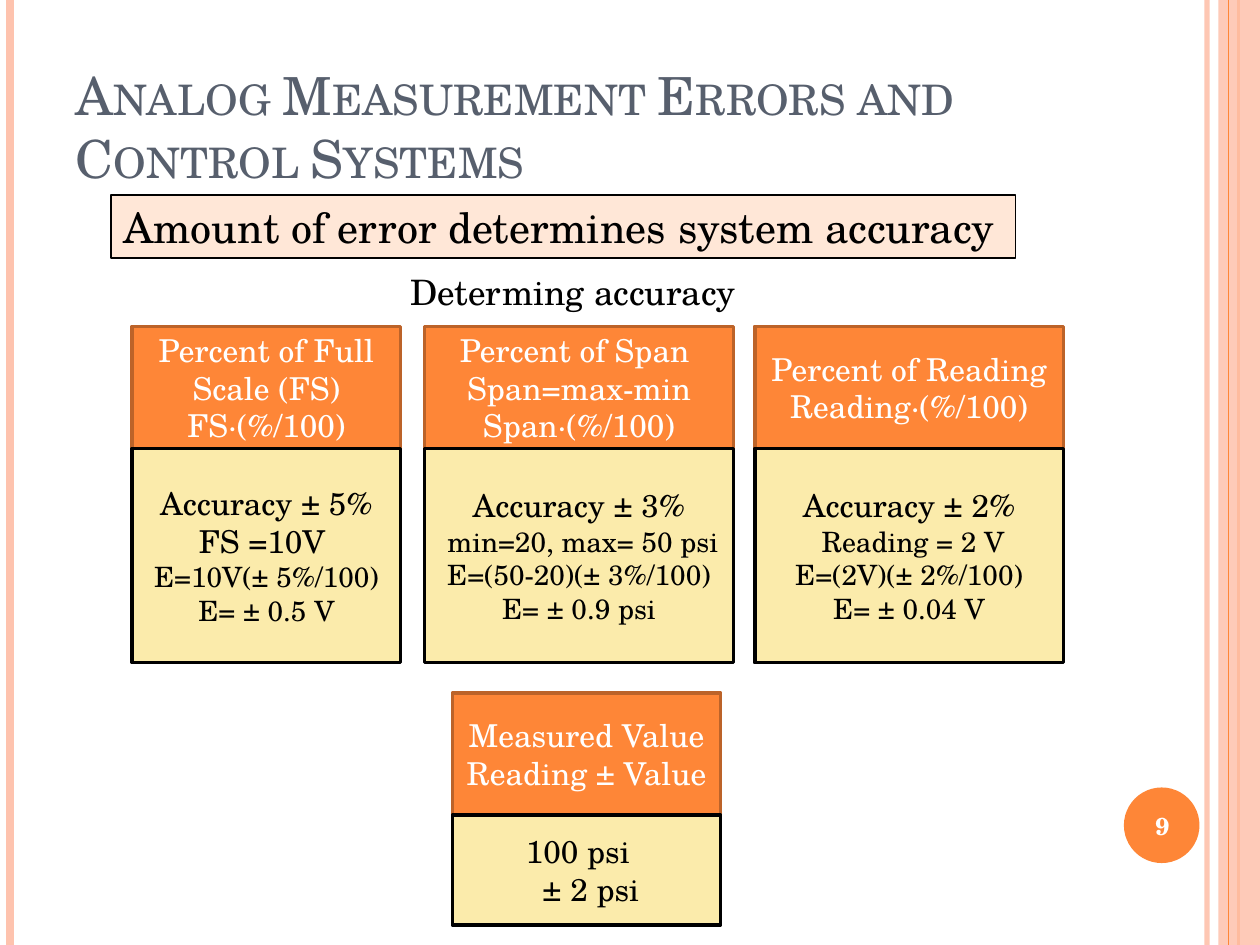
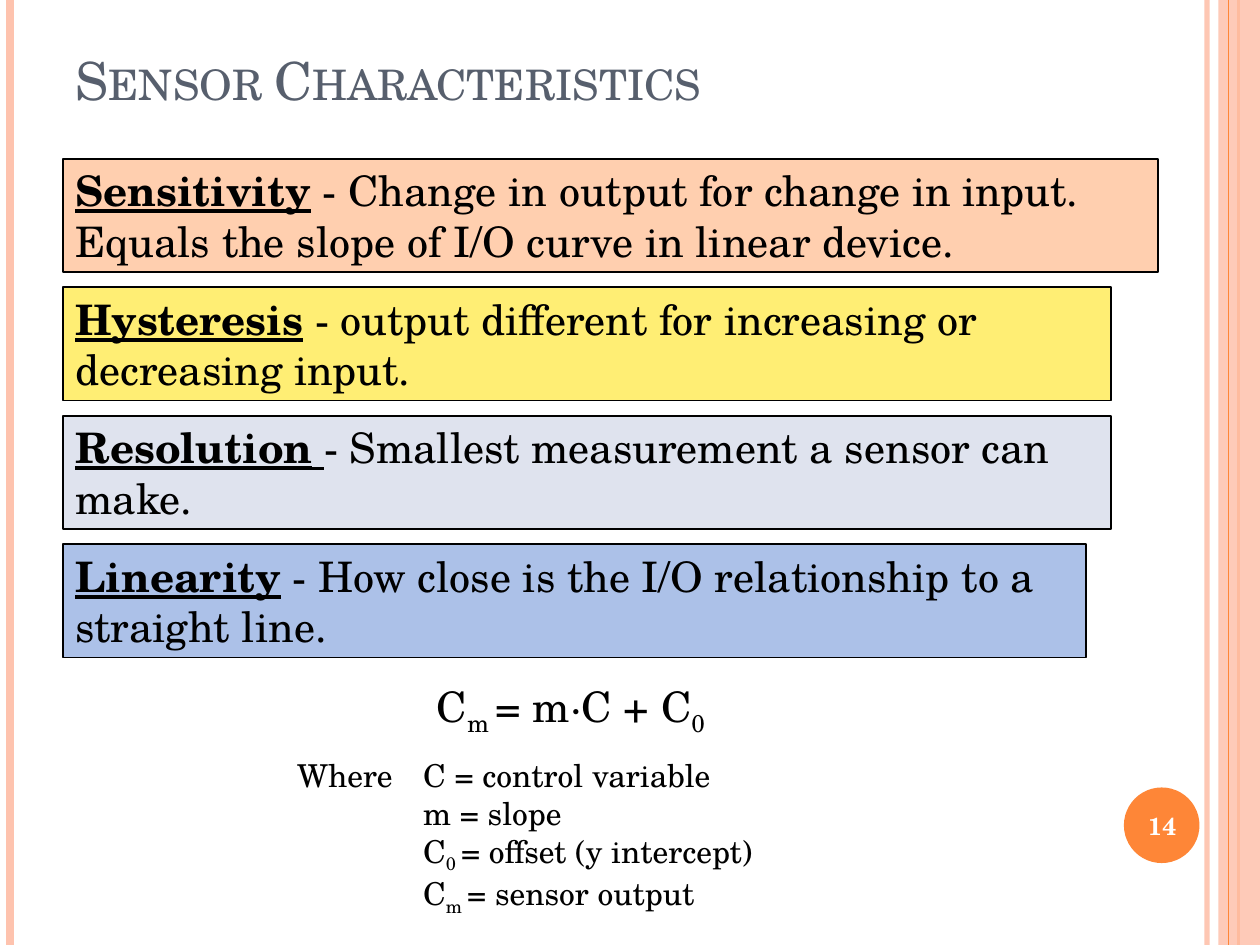
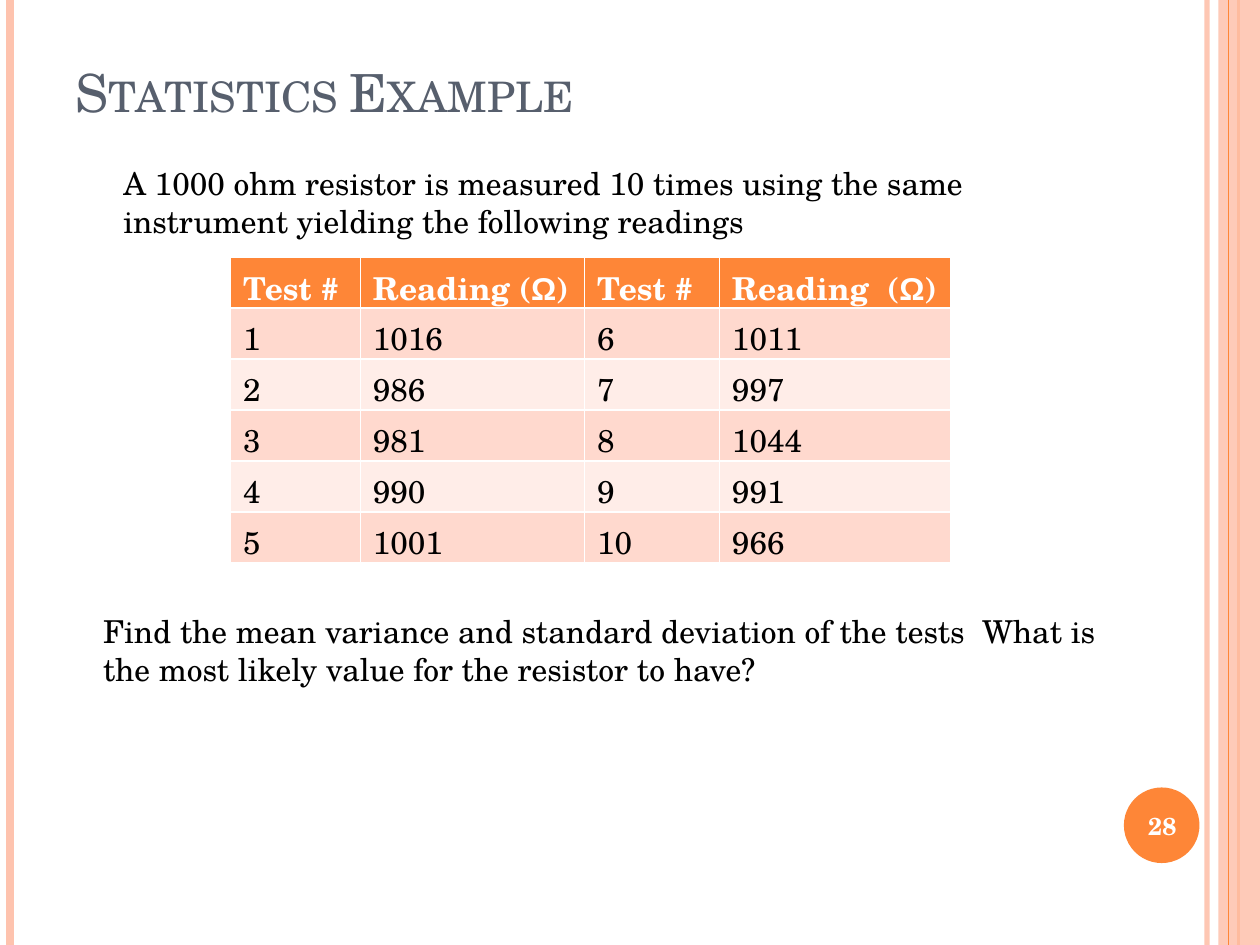
from lxml import etree
from pptx import Presentation
from pptx import util as u
from pptx.dml.color import RGBColor
from pptx.enum import shapes, text
from pptx.oxml.ns import qn

FONT = "TeX Gyre Schola"
COLORS = {
    "title": "575F6D", "black": "000000", "white": "FFFFFF",
    "orange": "FE8637", "rust": "BC6329", "pink": "FEC3AE",
    "cream": "FBEBAB", "blush": "FFE7D7", "peach": "FFCFAF",
    "yellow": "FFEE74", "mist": "DFE3EE", "blue": "ACC1E8",
    "row_dark": "FFD9CE", "row_light": "FFEDE8",
}
RGB = {name: RGBColor.from_string(value) for name, value in COLORS.items()}


def write_text(tf, paragraphs, size=18, color="black", bold=None, centred=False,
               rest_size=None, tab=None):
    """Fill a frame; a paragraph is a string or a list of (text, style) runs.

    rest_size is the size of every paragraph after the first.
    """
    for i, runs in enumerate(paragraphs):
        p = tf.paragraphs[0] if i == 0 else tf.add_paragraph()
        p.alignment = text.PP_ALIGN.CENTER if centred else text.PP_ALIGN.LEFT
        if tab:
            tabs = etree.SubElement(p._p.get_or_add_pPr(), qn("a:tabLst"))
            etree.SubElement(tabs, qn("a:tab"), pos=str(u.Inches(tab)), algn="l")
        p.font.name, p.font.bold = FONT, bold
        p.font.size = u.Pt(rest_size if rest_size and i else size)
        p.font.color.rgb = RGB[color]
        for content, style in [(runs, "")] if isinstance(runs, str) else runs:
            r = p.add_run()
            r.text = content
            if style == "term":
                r.font.bold = r.font.underline = True
            elif style == "underline":
                r.font.underline = True
            elif style == "sub":
                r._r.get_or_add_rPr().set("baseline", "-25000")
            elif style == "symbol":
                r.font.name = "Arial"


def add_box(s, box, paragraphs, fill=None, line="black", line_width=1,
            wrap=True, middle=False, **text_format):
    """Add a filled rectangle, or a plain text box when there is no fill."""
    place = [u.Inches(v) for v in box]
    if fill:
        sp = s.shapes.add_shape(shapes.MSO_SHAPE.RECTANGLE, *place)
        sp.shadow.inherit = False
        sp.fill.solid()
        sp.fill.fore_color.rgb = RGB[fill]
        sp.line.color.rgb = RGB[line]
        sp.line.width = u.Pt(line_width)
    else:
        sp = s.shapes.add_textbox(*place)
    tf = sp.text_frame
    tf.word_wrap = wrap
    tf.vertical_anchor = text.MSO_ANCHOR.MIDDLE if middle else text.MSO_ANCHOR.TOP
    tf.auto_size = (text.MSO_AUTO_SIZE.NONE if middle
                    else text.MSO_AUTO_SIZE.SHAPE_TO_FIT_TEXT)
    write_text(tf, paragraphs, **text_format)


prs = Presentation()
prs.slide_width, prs.slide_height = u.Inches(10), u.Inches(7.5)
layout = prs.slide_layouts[5]

# Slides with their titles and numbers
slides = []
for title, title_height, number in [
    ("Analog Measurement Errors and Control Systems", 1.25, "9"),
    ("Sensor Characteristics", 0.63, "14"),
    ("Statistics Example", 0.73, "28"),
]:
    s = prs.slides.add_slide(layout)
    slides.append(s)
    heading = s.shapes.title
    heading.left, heading.top = u.Inches(0.5), u.Inches(0.3)
    heading.width, heading.height = u.Inches(8.17), u.Inches(title_height)
    tf = heading.text_frame
    tf.vertical_anchor = text.MSO_ANCHOR.BOTTOM
    tf.auto_size = text.MSO_AUTO_SIZE.NONE
    write_text(tf, [title], size=30, color="title")
    tf.paragraphs[0].runs[0]._r.get_or_add_rPr().set("cap", "small")
    add_box(s, (8.89, 6.27, 0.67, 0.57), [number], middle=True, size=14,
            color="white", bold=True, centred=True)
errors, sensors, statistics = slides

# Side bands and number disc, moved to the layout all slides share
decorations = []
for x, color, width, alpha in [
    (9.58, "pink", 3, 93), (0.08, "pink", 4.5, None),
    (9.83, "orange", 1.5, None), (9.75, "orange", 0.75, None),
]:
    rule = errors.shapes.add_connector(
        shapes.MSO_CONNECTOR.STRAIGHT, u.Inches(x), 0, u.Inches(x), prs.slide_height)
    rule.line.color.rgb = RGB[color]
    rule.line.width = u.Pt(width)
    etree.SubElement(rule.element.spPr, qn("a:effectLst"))
    decorations.append((rule, alpha))
for kind, box, color, alpha in [
    (shapes.MSO_SHAPE.RECTANGLE, (9.67, 0, 0.33, 7.5), "pink", 87),
    (shapes.MSO_SHAPE.OVAL, (8.92, 6.25, 0.6, 0.6), "orange", None),
]:
    sp = errors.shapes.add_shape(kind, *[u.Inches(v) for v in box])
    sp.shadow.inherit = False
    sp.fill.solid()
    sp.fill.fore_color.rgb = RGB[color]
    sp.line.fill.background()
    decorations.append((sp, alpha))
left_rules, (last_rule, band, disc) = decorations[:3], decorations[3:]
for sp, alpha in [*left_rules, band, last_rule, disc]:
    if alpha:
        clr = next(sp.element.spPr.iter(qn("a:srgbClr")))
        etree.SubElement(clr, qn("a:alpha"), val=str(alpha * 1000))
    layout.shapes.element.append(sp.element)

# Measurement errors
add_box(errors, (0.88, 1.55, 7.18, 0.5), ["Amount of error determines system accuracy"],
        fill="blush", wrap=False, size=24)
add_box(errors, (3.16, 2.1, 2.8, 0.44), ["Determing accuracy"], wrap=False, size=20)
HEAD_HEIGHT = 0.97
for left, top, width, example_height, rest_size, formula, example in [
    (3.59, 5.5, 2.13, 0.87, 18,
     ["Measured Value ", "Reading ± Value"],
     ["100 psi  ", " ± 2 psi"]),
    (1.05, 2.59, 2.13, 1.7, 16,
     ["Percent of Full Scale (FS)", "FS∙(%/100)"],
     ["Accuracy ± 5% FS =10V ", "E=10V(± 5%/100)", "E= ± 0.5 V"]),
    (3.37, 2.59, 2.45, 1.7, 16,
     ["Percent of Span ", "Span=max-min", "Span∙(%/100)"],
     ["Accuracy ± 3%", " min=20, max= 50 psi ", "E=(50-20)(± 3%/100)", "E= ± 0.9 psi"]),
    (5.99, 2.59, 2.45, 1.7, 16,
     ["Percent of Reading ", "Reading∙(%/100)"],
     ["Accuracy ± 2%", " Reading = 2 V", "E=(2V)(± 2%/100)", "E= ± 0.04 V"]),
]:
    add_box(errors, (left, top, width, HEAD_HEIGHT), formula, fill="orange", line="rust",
            line_width=2, middle=True, color="white", centred=True)
    add_box(errors, (left, top + HEAD_HEIGHT, width, example_height), example,
            fill="cream", line_width=2, middle=True, centred=True, rest_size=rest_size)

# Sensor characteristics
definitions = [
    (8.69, "peach", [[("Sensitivity", "term"),
                      (" - Change in output for change in input.  "
                       "Equals the slope of I/O curve in linear device.", "")]]),
    (8.32, "yellow", [[("Hysteresis", "term"), (" - output different for increasing or", "")],
                      "decreasing input."]),
    (8.32, "mist", [[("Resolution", "term"), (" ", "underline"),
                     ("- Smallest measurement a sensor can make.", "")]]),
    (8.12, "blue", [[("Linearity", "term"),
                     (" - How close is the I/O relationship to a straight line.", "")]]),
]
for i, (width, fill, paragraphs) in enumerate(definitions):
    add_box(sensors, (0.5, 1.26 + 1.02 * i, width, 0.9), paragraphs, fill=fill, size=24)
add_box(sensors, (3.37, 5.35, 2.43, 0.5),
        [[("C", ""), ("m ", "sub"), ("= m∙C + C", ""), ("0", "sub")]],
        wrap=False, size=24)
add_box(sensors, (2.26, 5.95, 3.91, 1.31), [
    "Where\tC = control variable",
    "\tm = slope",
    [("\tC", ""), ("0 ", "sub"), ("= offset (y intercept)", "")],
    [("\tC", ""), ("m ", "sub"), ("= sensor output", "")],
], wrap=False, tab=1)

# Statistics example
add_box(statistics, (0.88, 1.25, 7.12, 0.71),
        ["A 1000 ohm resistor is measured 10 times using the same instrument "
         "yielding the following readings"])
readings = [1016, 986, 981, 990, 1001, 1011, 997, 1044, 991, 966]
half = len(readings) // 2
rows = [["Test #", [("Reading (", ""), ("Ω", "symbol"), (")", "")],
         "Test #", [("Reading  (", ""), ("Ω", "symbol"), (")", "")]]]
for i in range(half):
    rows.append([str(v) for v in (i + 1, readings[i], i + 1 + half, readings[i + half])])
column_widths = [1.03, 1.78, 1.07, 1.84]
table = statistics.shapes.add_table(
    len(rows), len(column_widths), u.Inches(1.83), u.Inches(2.04),
    u.Inches(sum(column_widths)), u.Inches(2.43)).table
for column, width in zip(table.columns, column_widths):
    column.width = u.Inches(width)
for i, row in enumerate(rows):
    header = i == 0
    fill = "orange" if header else "row_dark" if i % 2 else "row_light"
    for j, content in enumerate(row):
        cell = table.cell(i, j)
        cell.fill.solid()
        cell.fill.fore_color.rgb = RGB[fill]
        write_text(cell.text_frame, [content], color="white" if header else "black",
                   bold=header)
add_box(statistics, (0.72, 4.81, 8.17, 0.71),
        ["Find the mean variance and standard deviation of the tests  "
         "What is the most likely value for the resistor to have?"])

prs.save("out.pptx")
